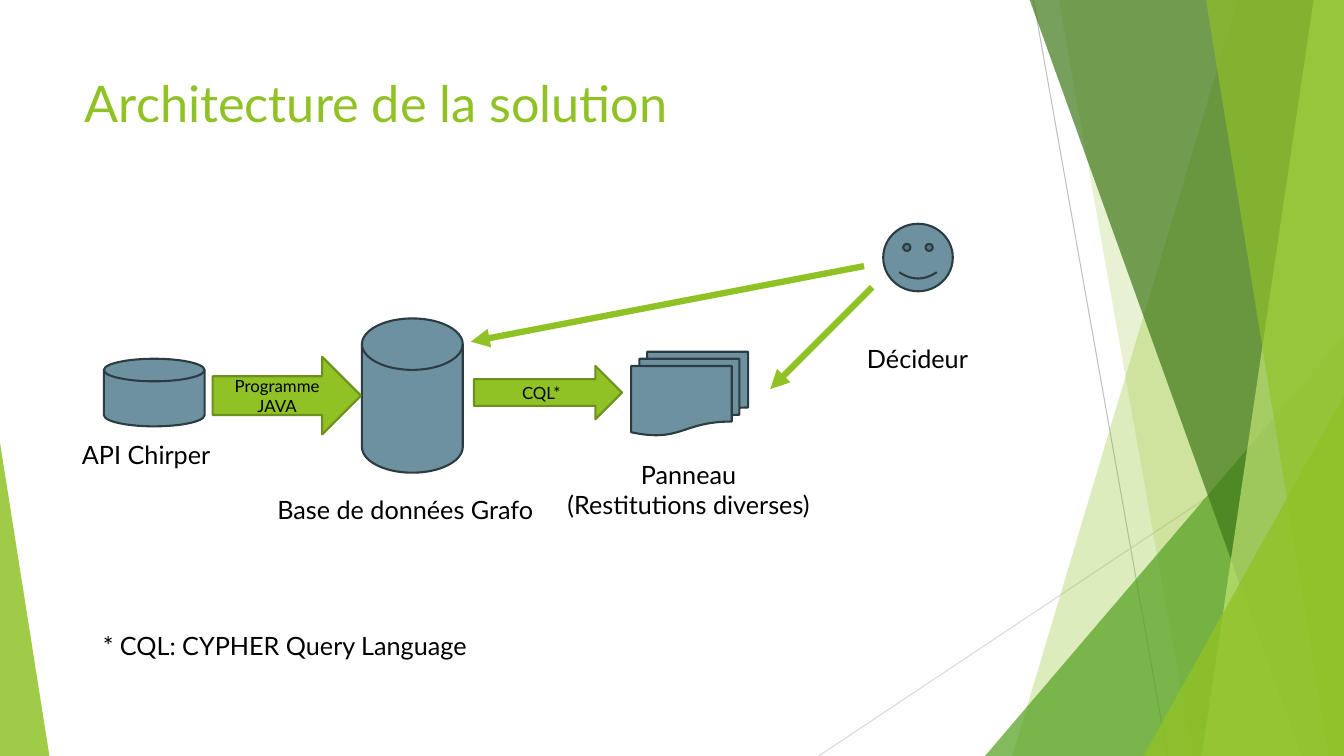
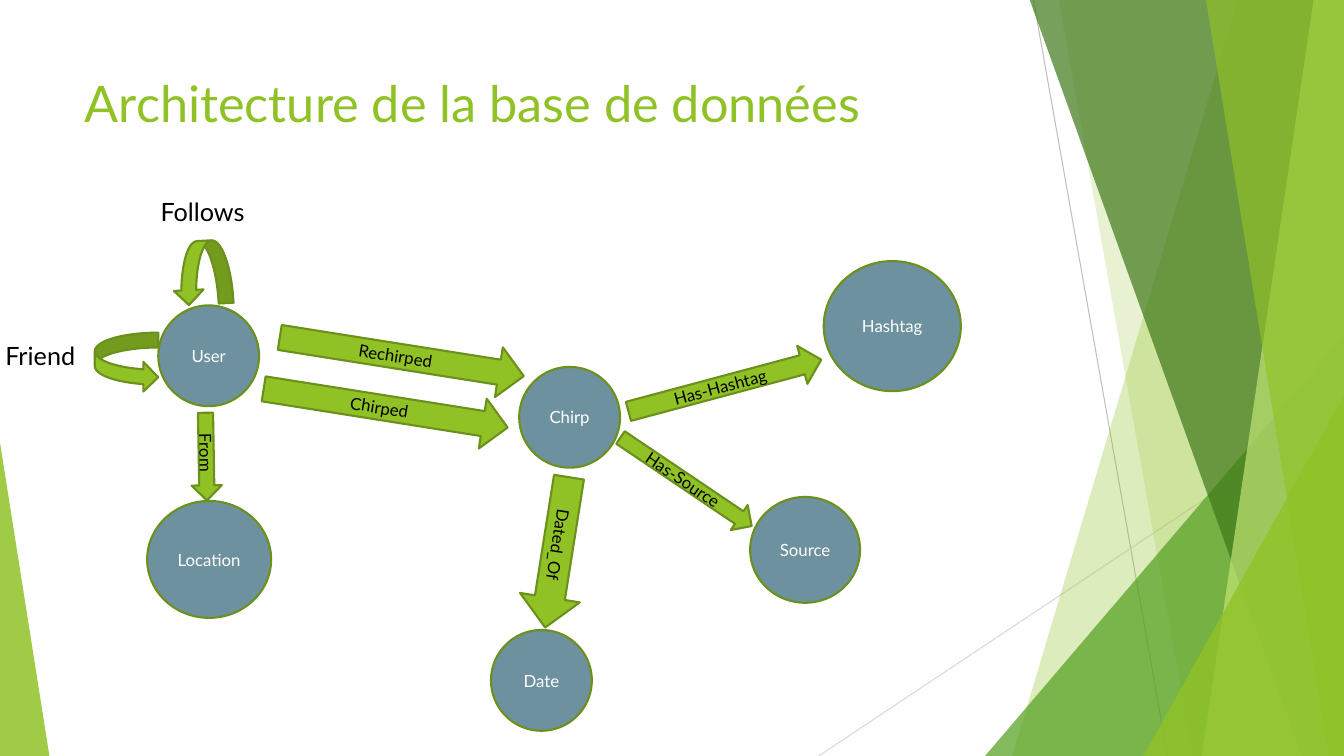
from lxml import etree
from pptx import Presentation, util as u
from pptx.dml.color import RGBColor
from pptx.enum import shapes, text
from pptx.oxml.ns import qn

FONT = "Lato"
COLOURS = {
    "green": "90C226", "olive": "6B901C", "leaf": "54A021", "forest": "3F7819",
    "lime": "C0E474", "steel": "6E91A0", "slate": "2C3C43", "black": "000000",
    "white": "FFFFFF", "grey": "BFBFBF", "pale_grey": "D9D9D9",
}
KINDS = shapes.MSO_SHAPE
WIDTH, HEIGHT, BLEED = 13.33, 7.5, -0.01
TITLE_BOX = (0.74, 0.67, 9.4, 1.44)

STYLES = {
    "icon": {"fill": "steel", "line": "slate", "font": "white"},
    "node": {"fill": "steel", "line": "olive", "font": "white"},
    "arrow": {"fill": "green", "line": "olive", "font": "black"},
}

HAIRLINES = [((10.25, 0), (11.58, HEIGHT), "grey"),
             ((WIDTH, 4.03), (8.12, HEIGHT), "pale_grey")]
DECOR = [
    {"band": (12.28, 10.04), "fill": "green", "alpha": 30},
    {"band": (10.5, 11.83), "fill": "green", "alpha": 20},
    {"corner": (9.77, 3.33, 3.56, 1), "fill": "leaf", "alpha": 72},
    {"band": (10.21, 12.91), "fill": "forest", "alpha": 70},
    {"band": (13.03, 11.92), "fill": "lime", "alpha": 70},
    {"band": (11.96, 13.18), "fill": "green", "alpha": 65},
    {"corner": (11.34, 3.93, 1.99, 1), "fill": "green", "alpha": 80},
    {"corner": (0, 4.39, 0.49, 0), "fill": "green", "alpha": 85},
]

SLIDES = [
    {
        "title": "Architecture de la solution",
        "shapes": [
            ("icon", KINDS.FLOWCHART_MAGNETIC_DISK, (1.03, 3.56, 1, 0.67), 0, ""),
            ("icon", KINDS.FLOWCHART_MAGNETIC_DISK, (3.59, 3.16, 1, 1.53), 0, ""),
            ("arrow", KINDS.RIGHT_ARROW, (2.11, 3.54, 1.47, 0.77), 0, "Programme JAVA"),
            ("icon", KINDS.FLOWCHART_MULTIDOCUMENT, (6.26, 3.49, 1.16, 0.83), 0, ""),
            ("arrow", KINDS.RIGHT_ARROW, (4.7, 3.63, 1.47, 0.53), 0, "CQL*"),
            ("icon", KINDS.SMILEY_FACE, (8.76, 2.22, 0.69, 0.67), 0, ""),
        ],
        "links": [((8.57, 2.64), (4.67, 3.39)), ((8.65, 2.85), (7.64, 3.86))],
        "labels": [
            ((-0.05, 4.31, 3, 0.4), ["API Chirper"]),
            ((2.52, 4.86, 3, 0.4), ["Base de données Grafo"]),
            ((5.33, 4.51, 3, 0.71), ["Panneau", "(Restitutions diverses)"]),
            ((7.6, 3.36, 3, 0.4), ["Décideur"]),
            ((0.74, 6.2, 4.17, 0.4), ["* CQL: CYPHER Query Language"]),
        ],
    },
    {
        "title": "Architecture de la base de données",
        "shapes": [
            ("node", KINDS.OVAL, (1.57, 3.03, 1, 1), 0, "User"),
            ("node", KINDS.OVAL, (5.15, 3.64, 1, 1), 0, "Chirp"),
            ("node", KINDS.OVAL, (1.46, 4.97, 1.23, 1.16), 0, "Location"),
            ("node", KINDS.OVAL, (7.44, 4.93, 1.09, 1.05), 0, "Source"),
            ("node", KINDS.OVAL, (8.17, 2.59, 1.36, 1.29), 0, "Hashtag"),
            ("node", KINDS.OVAL, (4.87, 6.25, 1, 1), 0, "Date"),
            ("arrow", KINDS.CURVED_RIGHT_ARROW, (0.94, 3.3, 0.63, 0.59), 0, ""),
            ("arrow", KINDS.CURVED_RIGHT_ARROW, (1.69, 2.41, 0.63, 0.59), 87, ""),
            ("arrow", KINDS.RIGHT_ARROW, (2.6, 3.8, 2.45, 0.5), 9, "Chirped"),
            ("arrow", KINDS.RIGHT_ARROW, (2.76, 3.29, 2.45, 0.5), 9, "Rechirped"),
            ("arrow", KINDS.RIGHT_ARROW, (6.02, 4.63, 1.57, 0.3), 34, "Has-Source"),
            ("arrow", KINDS.RIGHT_ARROW, (6.2, 3.63, 1.98, 0.39), 345, "Has-Hashtag"),
            ("arrow", KINDS.RIGHT_ARROW, (4.77, 5.18, 1.51, 0.6), 99, "Dated_Of"),
            ("arrow", KINDS.RIGHT_ARROW, (1.61, 4.38, 0.87, 0.3), 89, "From"),
        ],
        "links": [],
        "labels": [
            ((0.51, 1.9, 3, 0.4), ["Follows"]),
            ((-1.1, 3.33, 3, 0.4), ["Friend"]),
        ],
    },
]


def inches(values):
    return [u.Inches(value) for value in values]


def colour(name):
    return RGBColor.from_string(COLOURS[name])


def set_all(target, values):
    for name, value in values.items():
        setattr(target, name, value)


def write(frame, lines, size, font_colour, align, **frame_format):
    set_all(frame, {"word_wrap": True, **frame_format})
    for index, line in enumerate(lines):
        paragraph = frame.add_paragraph() if index else frame.paragraphs[0]
        paragraph.alignment = align
        run = paragraph.add_run()
        run.text = line
        set_all(run.font, {"name": FONT, "size": u.Pt(size)})
        run.font.color.rgb = colour(font_colour)


def paint(shape, fill, line=None):
    shape.shadow.inherit = False
    shape.fill.solid()
    shape.fill.fore_color.rgb = colour(fill)
    if line:
        shape.line.color.rgb = colour(line)
        shape.line.width = u.Pt(1.5)
    else:
        shape.line.fill.background()


def add_line(slide, start, end, line_colour, width, arrow=False):
    connector = slide.shapes.add_connector(
        shapes.MSO_CONNECTOR.STRAIGHT, *inches(start + end))
    connector.line.color.rgb = colour(line_colour)
    connector.line.width = u.Pt(width)
    if arrow:
        etree.SubElement(connector.line._get_or_add_ln(), qn("a:tailEnd"), type="triangle")
    etree.SubElement(connector._element.spPr, qn("a:effectLst"))
    return connector


def add_decor_shape(slide, item):
    if "band" in item:
        top_x, bottom_x = item["band"]
        builder = slide.shapes.build_freeform(*inches((top_x, BLEED)), scale=1.0)
        corners = [(WIDTH, BLEED), (WIDTH, HEIGHT), (bottom_x, HEIGHT)]
        builder.add_line_segments([inches(corner) for corner in corners], close=True)
        shape = builder.convert_to_shape()
    else:
        left, top, width, apex = item["corner"]
        shape = slide.shapes.add_shape(
            KINDS.ISOSCELES_TRIANGLE, *inches((left, top, width, HEIGHT - top)))
        shape.adjustments[0] = apex
    paint(shape, item["fill"])
    fill_colour = shape._element.spPr.find(qn("a:solidFill"))[0]
    etree.SubElement(fill_colour, qn("a:alpha"), val=str(item["alpha"] * 1000))
    return shape


def move_decor_to_layout(slide, layout):
    decor = [add_line(slide, *hairline, 0.75) for hairline in HAIRLINES]
    decor += [add_decor_shape(slide, item) for item in DECOR]
    for position, shape in enumerate(decor, start=2):
        layout.shapes.element.insert(position, shape._element)


def fill_slide(slide, content):
    title = slide.shapes.title
    set_all(title, dict(zip(("left", "top", "width", "height"), inches(TITLE_BOX))))
    write(title.text_frame, [content["title"]], 36, "green", text.PP_ALIGN.LEFT,
          vertical_anchor=text.MSO_ANCHOR.TOP, auto_size=text.MSO_AUTO_SIZE.NONE)
    for style_name, kind, box, rotation, caption in content["shapes"]:
        style = STYLES[style_name]
        shape = slide.shapes.add_shape(kind, *inches(box))
        shape.rotation = rotation
        paint(shape, style["fill"], style["line"])
        if caption:
            write(shape.text_frame, [caption], 12, style["font"], text.PP_ALIGN.CENTER,
                  vertical_anchor=text.MSO_ANCHOR.MIDDLE)
    for start, end in content["links"]:
        add_line(slide, start, end, "green", 4.5, arrow=True)
    for box, lines in content["labels"]:
        label = slide.shapes.add_textbox(*inches(box))
        write(label.text_frame, lines, 18, "black", text.PP_ALIGN.CENTER,
              auto_size=text.MSO_AUTO_SIZE.SHAPE_TO_FIT_TEXT)


def main():
    presentation = Presentation()
    set_all(presentation, {"slide_width": u.Inches(WIDTH), "slide_height": u.Inches(HEIGHT)})
    layout = presentation.slide_layouts.get_by_name("Title Only")
    slides = [presentation.slides.add_slide(layout) for _ in SLIDES]
    move_decor_to_layout(slides[0], layout)
    for slide, content in zip(slides, SLIDES):
        fill_slide(slide, content)
    presentation.save("out.pptx")


if __name__ == "__main__":
    main()
